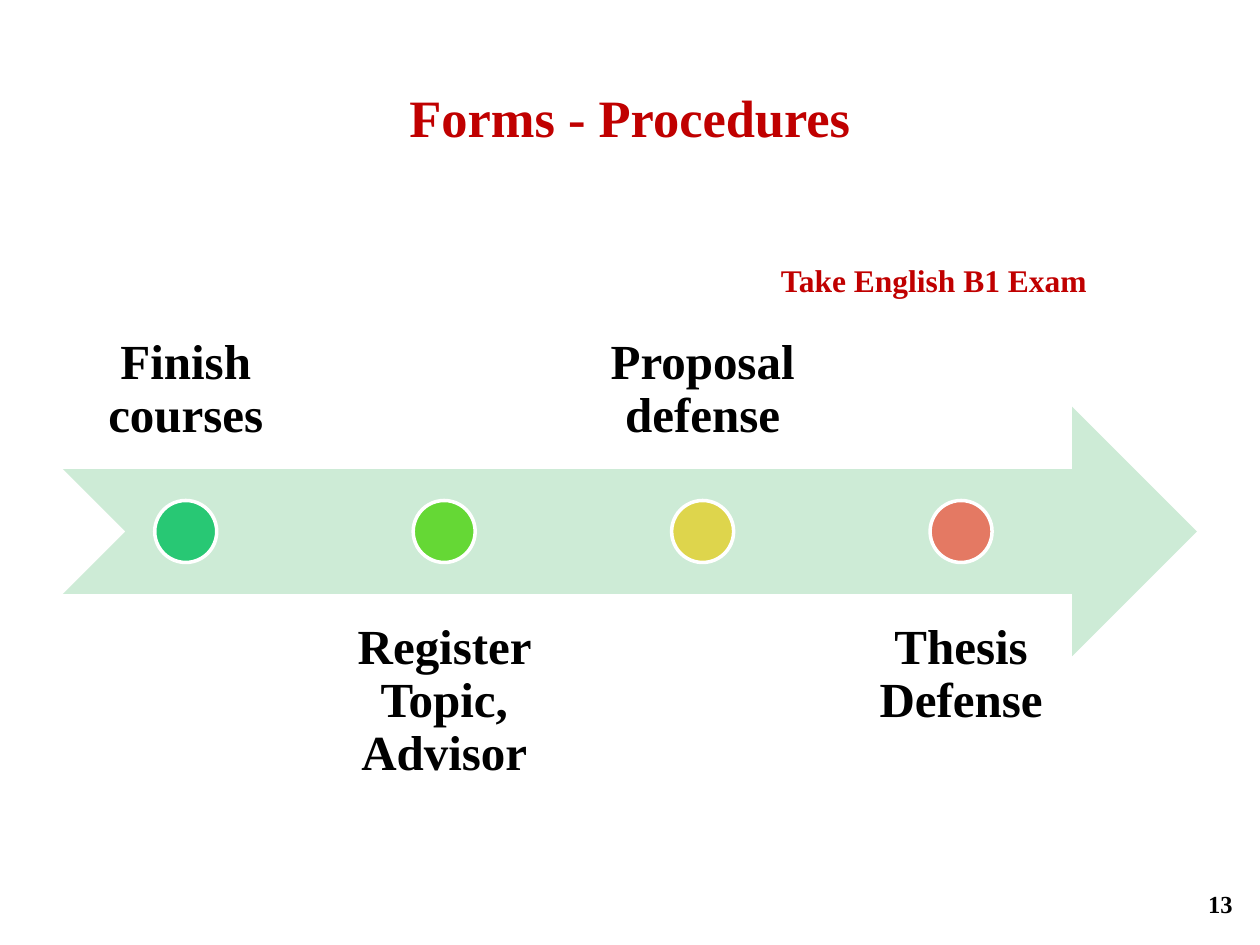
import pptx
import pptx.dml.color
import pptx.enum.shapes
import pptx.enum.text
import pptx.util

Cm = pptx.util.Cm
Pt = pptx.util.Pt
Align = pptx.enum.text.PP_ALIGN
Anchor = pptx.enum.text.MSO_ANCHOR
ShapeType = pptx.enum.shapes.MSO_SHAPE

RED = "C00000"
BLACK = "000000"
WHITE = "FFFFFF"
PALE_GREEN = "CDEBD6"

STEPS = [
    ("Finish courses", "28C874"),
    ("Register Topic, Advisor", "65D835"),
    ("Proposal defense", "DED54C"),
    ("Thesis Defense", "E47963"),
]
LEFT, STEP_PITCH = 1.27, 5.21
LABEL_WIDTH, LABEL_HEIGHT = 4.95, 5.03
LABEL_ABOVE, LABEL_BELOW = 4.45, 11.99
ARROW_TOP, ARROW_HEIGHT = 8.2, 5.03
DOT_SIZE = 1.25


def color(hex_string):
    return pptx.dml.color.RGBColor.from_string(hex_string)


class SlideBuilder:
    """Holds the text style and the slide being filled."""

    font_name = "Times New Roman"

    def __init__(self, slide):
        self.slide = slide

    def set_text(self, shape, text, size, text_color, align, anchor,
                 inset=None):
        frame = shape.text_frame
        frame.word_wrap = True
        frame.vertical_anchor = anchor
        if inset is not None:
            frame.margin_left = frame.margin_right = Cm(inset)
            frame.margin_top = frame.margin_bottom = Cm(inset)
        paragraph = frame.paragraphs[0]
        paragraph.alignment = align
        run = paragraph.add_run()
        run.text = text
        run.font.name = self.font_name
        run.font.size = Pt(size)
        run.font.bold = True
        run.font.color.rgb = color(text_color)
        return paragraph

    def title(self, text, left, top, width, height):
        shape = self.slide.shapes.title
        shape.left, shape.top = Cm(left), Cm(top)
        shape.width, shape.height = Cm(width), Cm(height)
        self.set_text(shape, text, 30, RED, Align.CENTER, Anchor.MIDDLE)

    def text(self, text, left, top, width, height, size, text_color=BLACK,
             align=Align.LEFT, anchor=Anchor.TOP, inset=None):
        box = self.slide.shapes.add_textbox(
            Cm(left), Cm(top), Cm(width), Cm(height))
        return self.set_text(box, text, size, text_color, align, anchor, inset)

    def shape(self, kind, left, top, width, height, fill, outline=None):
        shape = self.slide.shapes.add_shape(
            kind, Cm(left), Cm(top), Cm(width), Cm(height))
        shape.shadow.inherit = False
        shape.fill.solid()
        shape.fill.fore_color.rgb = color(fill)
        if outline:
            shape.line.color.rgb = color(outline)
            shape.line.width = Pt(2)
        else:
            shape.line.fill.background()

    def step(self, index, text, dot_color):
        """Adds a dot on the arrow and its label, above and below in turn."""
        left = LEFT + index * STEP_PITCH
        above = index % 2 == 0
        label = self.text(
            text, left, LABEL_ABOVE if above else LABEL_BELOW,
            LABEL_WIDTH, LABEL_HEIGHT, 28, align=Align.CENTER,
            anchor=Anchor.BOTTOM if above else Anchor.TOP, inset=0.55)
        label.line_spacing = 0.9
        self.shape(
            ShapeType.OVAL, left + (LABEL_WIDTH - DOT_SIZE) / 2,
            ARROW_TOP + (ARROW_HEIGHT - DOT_SIZE) / 2,
            DOT_SIZE, DOT_SIZE, dot_color, WHITE)


def main():
    presentation = pptx.Presentation()
    presentation.slide_width = Cm(25.4)
    presentation.slide_height = Cm(19.05)
    builder = SlideBuilder(
        presentation.slides.add_slide(presentation.slide_layouts[5]))

    builder.title("Forms - Procedures", LEFT, 0.76, 22.86, 3.18)
    builder.shape(ShapeType.NOTCHED_RIGHT_ARROW, LEFT, ARROW_TOP,
                  22.86, ARROW_HEIGHT, PALE_GREEN)
    for index, (text, dot_color) in enumerate(STEPS):
        builder.step(index, text, dot_color)
    builder.text("13", 19.18, 17.7, 5.92, 1.02, 14,
                 align=Align.RIGHT, anchor=Anchor.MIDDLE)
    builder.text("Take English B1 Exam", 15.49, 5.13, 9.4, 1.02, 18, RED)

    presentation.save("out.pptx")


if __name__ == "__main__":
    main()
